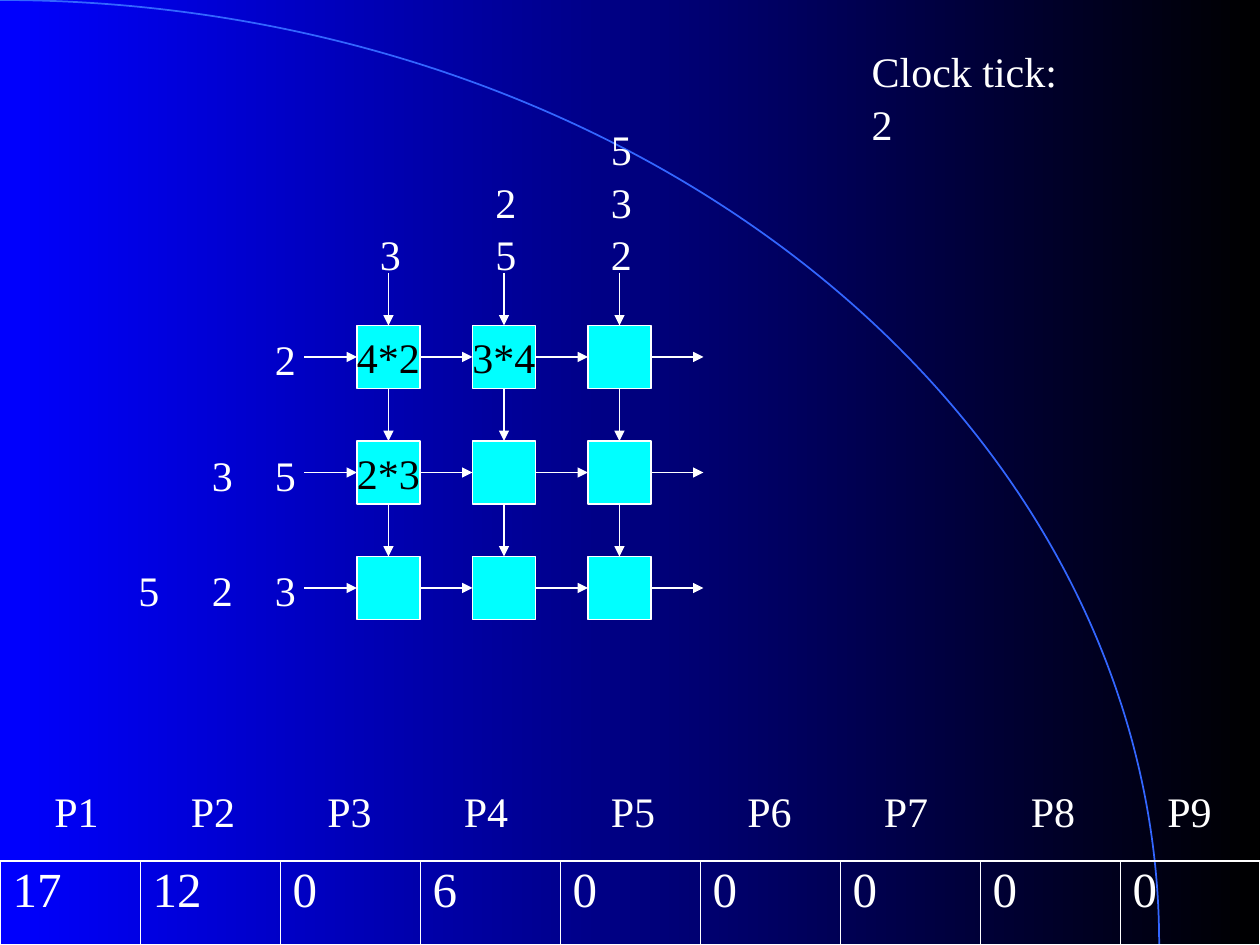
from dataclasses import dataclass
from itertools import pairwise
from typing import Optional

from lxml.etree import SubElement
from pptx import Presentation
from pptx.dml.color import RGBColor
from pptx.enum.shapes import MSO_CONNECTOR as Connector, MSO_SHAPE as Preset
from pptx.enum.text import MSO_ANCHOR as Anchor, PP_ALIGN as Align
from pptx.oxml.ns import qn
from pptx.util import Inches, Length, Pt

COLORS = {"blue": "0000FF", "black": "000000", "arc": "3366FF", "cell": "00FFFF", "white": "FFFFFF"}
FONT = "Times New Roman"
COLUMNS, ROWS = 120, 90
CELL, GAP = 6, 5
STEP = CELL + GAP
ARRAY_LEFT, ARRAY_TOP = 34, 31
TABLE_TOP = 82
TOP, LEFT, BOTTOM, RIGHT = range(4)
PRODUCTS = [["4*2", "3*4", ""], ["2*3", "", ""], ["", "", ""]]
RESULTS = ["17", "12", "0", "6", "0", "0", "0", "0", "0"]


@dataclass
class Label:
    lines: list[str]
    left: float
    top: float
    width: float = 4.4
    height: float = 6
    tabs: tuple[float, ...] = ()


@dataclass
class Joint:
    shape: Optional[object]
    side: int
    column: float
    row: float


LABELS = [
    Label(["2"], 25, 31),
    Label(["3\t5"], 19, 42, 10.4, tabs=(6,)),
    Label(["5\t2\t3"], 12, 53, 17.4, tabs=(7, 13)),
    Label(["3"], 35, 21),
    Label(["2", "5"], 46, 16, height=10.8),
    Label(["5", "3", "2"], 57, 11, height=15.6),
    Label(["Clock tick: 2"], 81.84, 3.6, 23),
] + [Label([f"P{i + 1}"], int(4 + 13.3 * i), 74, 6.6) for i in range(len(RESULTS))]


def color(name: str) -> RGBColor:
    return RGBColor.from_string(COLORS[name])


def grid(units: float) -> Length:
    return Inches(units / 12)


def add_run(paragraph, text: str, size: float, color_name: str) -> None:
    run = paragraph.add_run()
    run.text = text
    run.font.name = FONT
    run.font.size = Pt(size)
    run.font.color.rgb = color(color_name)


def paint_background(slide) -> None:
    fill = slide.background.fill
    fill.gradient()
    fill.gradient_angle = 0
    for stop, name, position in zip(fill.gradient_stops, ("blue", "black"), (0, 1)):
        stop.color.rgb = color(name)
        stop.position = position


def add_arc(slide) -> None:
    radius_x, radius_y = Inches(9.2), Inches(7.49)
    arc = slide.shapes.add_shape(Preset.ARC, -radius_x, 0, 2 * radius_x, 2 * radius_y)
    arc.shadow.inherit = False
    arc.fill.background()
    arc.line.color.rgb = color("arc")
    arc.line.width = Pt(1)


def add_cell(slide, column: int, row: int, text: str):
    cell = slide.shapes.add_shape(
        Preset.RECTANGLE, grid(ARRAY_LEFT + column * STEP), grid(ARRAY_TOP + row * STEP), grid(CELL), grid(CELL))
    cell.shadow.inherit = False
    cell.fill.solid()
    cell.fill.fore_color.rgb = color("cell")
    cell.line.color.rgb = color("white")
    cell.line.width = Pt(0.75)
    if text:
        frame = cell.text_frame
        frame.word_wrap = False
        frame.vertical_anchor = Anchor.MIDDLE
        frame.paragraphs[0].alignment = Align.CENTER
        add_run(frame.paragraphs[0], text, 24, "black")
    return cell


def add_arrow(slide, start: Joint, end: Joint) -> None:
    arrow = slide.shapes.add_connector(
        Connector.STRAIGHT, grid(start.column), grid(start.row), grid(end.column), grid(end.row))
    if start.shape is not None:
        arrow.begin_connect(start.shape, start.side)
    if end.shape is not None:
        arrow.end_connect(end.shape, end.side)
    arrow.line.color.rgb = color("white")
    arrow.line.width = Pt(0.75)
    SubElement(arrow.line._get_or_add_ln(), qn("a:tailEnd"), type="triangle")
    SubElement(arrow._element.spPr, qn("a:effectLst"))


def add_array(slide) -> None:
    cells = [[add_cell(slide, column, row, text) for column, text in enumerate(texts)]
             for row, texts in enumerate(PRODUCTS)]
    for index in range(len(cells)):
        middle_x = ARRAY_LEFT + index * STEP + CELL / 2
        middle_y = ARRAY_TOP + index * STEP + CELL / 2
        across = [None, *cells[index], None]
        for step, (first, second) in enumerate(pairwise(across)):
            end = ARRAY_LEFT + step * STEP
            add_arrow(slide, Joint(first, RIGHT, end - GAP, middle_y), Joint(second, LEFT, end, middle_y))
        down = [None, *(row[index] for row in cells)]
        for step, (first, second) in enumerate(pairwise(down)):
            end = ARRAY_TOP + step * STEP
            add_arrow(slide, Joint(first, BOTTOM, middle_x, end - GAP), Joint(second, TOP, middle_x, end))


def add_label(slide, label: Label) -> None:
    box = slide.shapes.add_textbox(grid(label.left), grid(label.top), grid(label.width), grid(label.height))
    frame = box.text_frame
    frame.word_wrap = False
    for index, line in enumerate(label.lines):
        paragraph = frame.add_paragraph() if index else frame.paragraphs[0]
        paragraph.line_spacing = 1.04
        if label.tabs:
            tab_list = SubElement(paragraph._p.get_or_add_pPr(), qn("a:tabLst"))
            for tab in label.tabs:
                SubElement(tab_list, qn("a:tab"), pos=str(int(grid(tab))), algn="l")
        add_run(paragraph, line, 24, "white")


def add_border(cell, side: str, width: float) -> None:
    line = SubElement(cell._tc.get_or_add_tcPr(), qn(f"a:ln{side}"), w=str(int(Pt(width))))
    fill = SubElement(line, qn("a:solidFill"))
    SubElement(fill, qn("a:srgbClr"), val=COLORS["white"])


def add_results(slide) -> None:
    last = len(RESULTS) - 1
    table = slide.shapes.add_table(
        1, len(RESULTS), 0, grid(TABLE_TOP), grid(COLUMNS), grid(ROWS - TABLE_TOP)).table
    table.first_row = False
    table.horz_banding = False
    for index, result in enumerate(RESULTS):
        cell = table.cell(0, index)
        add_border(cell, "L", 1.08 if index == 0 else 0.45)
        add_border(cell, "R", 1.08 if index == last else 0.45)
        add_border(cell, "T", 1.08)
        add_border(cell, "B", 1.08)
        cell.fill.background()
        paragraph = cell.text_frame.paragraphs[0]
        paragraph.line_spacing = 0.93
        paragraph.space_before = Pt(7)
        add_run(paragraph, result, 28, "white")


def main() -> None:
    presentation = Presentation()
    presentation.slide_width, presentation.slide_height = grid(COLUMNS), grid(ROWS)
    slide = presentation.slides.add_slide(presentation.slide_layouts[6])
    paint_background(slide)
    add_arc(slide)
    add_array(slide)
    for label in LABELS:
        add_label(slide, label)
    add_results(slide)
    presentation.save("out.pptx")


if __name__ == "__main__":
    main()
